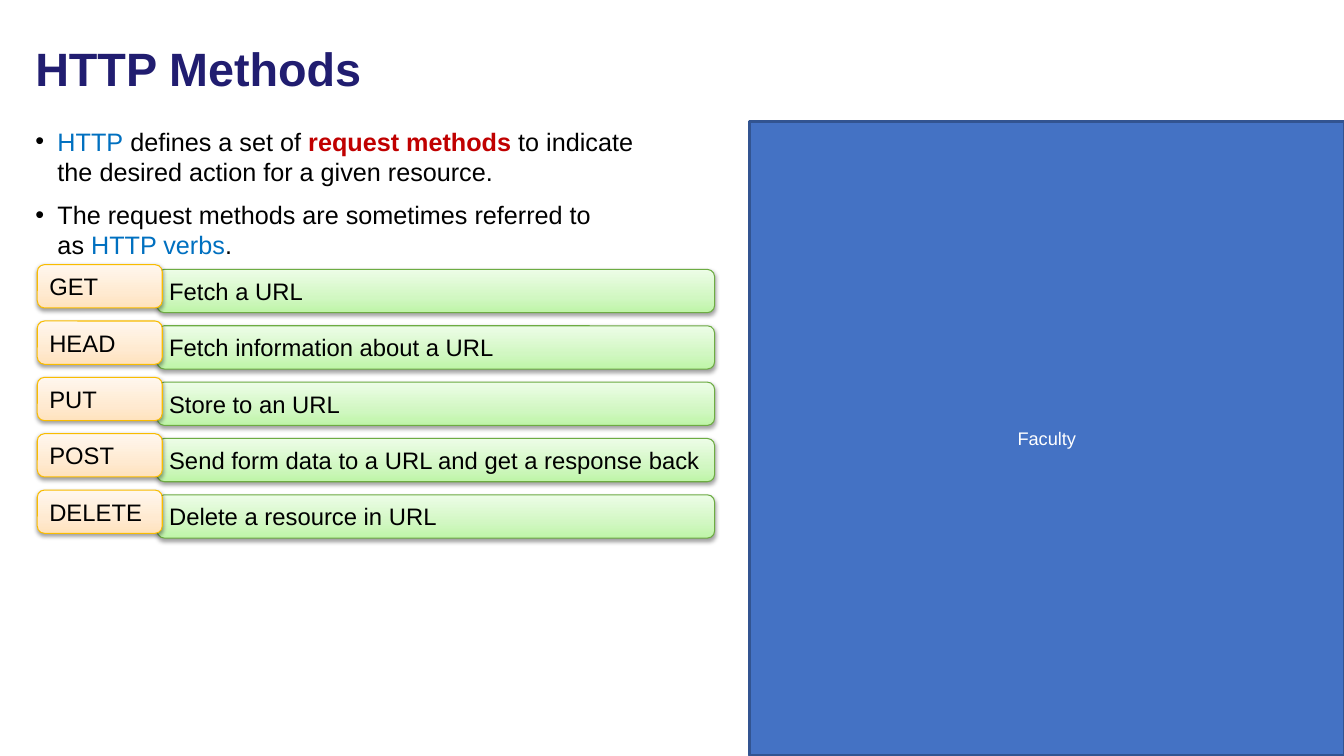
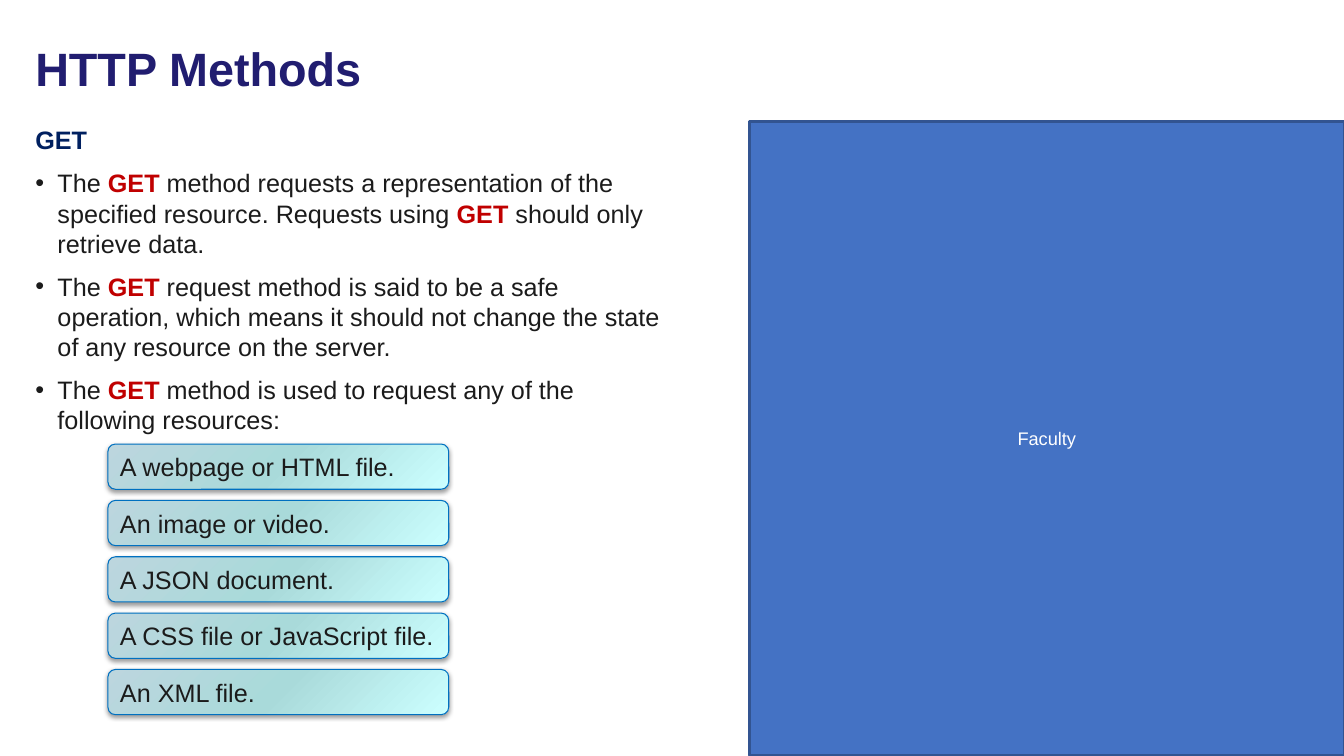
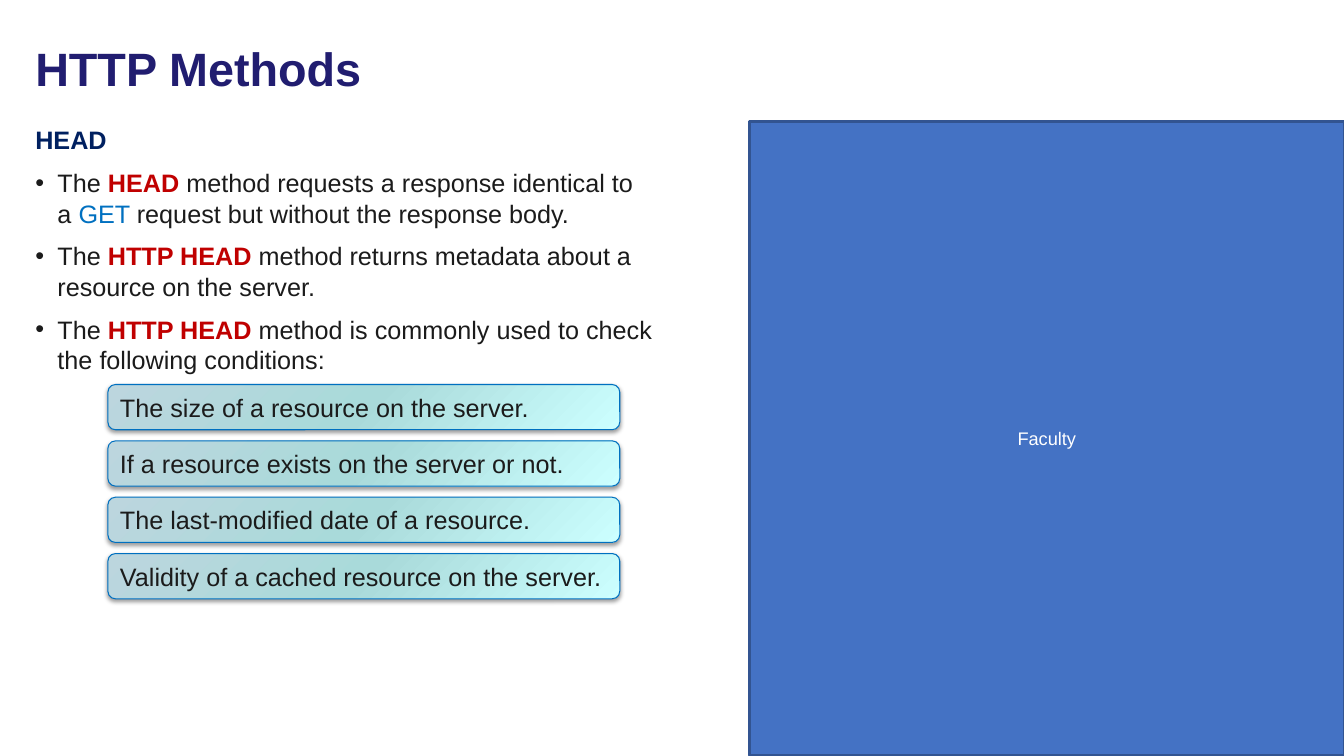
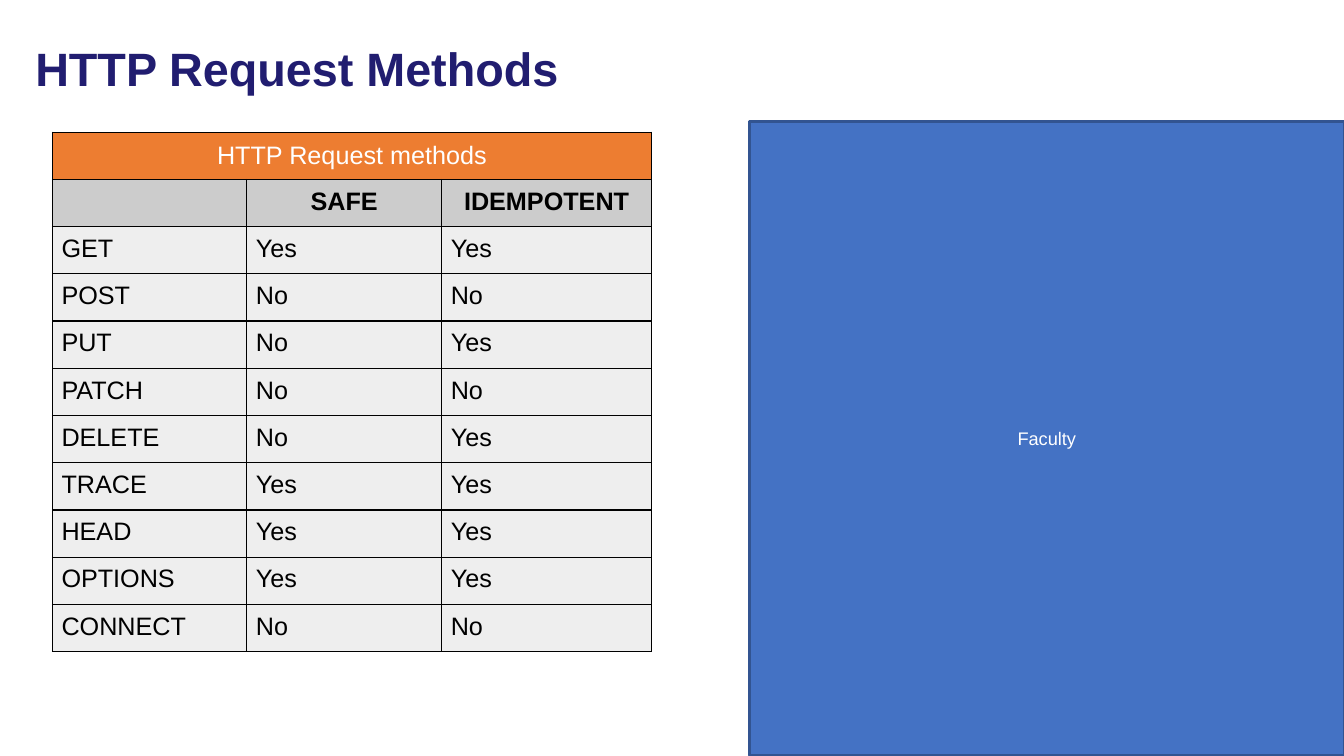
from copy import deepcopy

from lxml.etree import SubElement
from pptx import Presentation
from pptx.dml.color import RGBColor
from pptx.enum.shapes import MSO_SHAPE
from pptx.enum.text import MSO_ANCHOR, PP_ALIGN
from pptx.oxml.ns import qn
from pptx.util import Cm, Pt

FONT = "Arial"
NO_BREAK_SPACE = chr(160)
BLACK = RGBColor(0x00, 0x00, 0x00)
WHITE = RGBColor(0xFF, 0xFF, 0xFF)
INK = RGBColor(0x1B, 0x1B, 0x1B)
TITLE_BLUE = RGBColor(0x21, 0x1D, 0x70)
HEADING_BLUE = RGBColor(0x00, 0x20, 0x60)
TERM_BLUE = RGBColor(0x00, 0x70, 0xC0)
KEY_RED = RGBColor(0xC0, 0x00, 0x00)
PANEL_BLUE = RGBColor(0x44, 0x72, 0xC4)
PANEL_EDGE = RGBColor(0x32, 0x54, 0x91)
GREEN_EDGE = RGBColor(0x6D, 0xAC, 0x43)
AMBER_EDGE = RGBColor(0xF9, 0xBC, 0x00)
TABLE_ORANGE = RGBColor(0xED, 0x7D, 0x31)
TABLE_GREY = RGBColor(0xCC, 0xCC, 0xCC)
TABLE_LIGHT = RGBColor(0xEE, 0xEE, 0xEE)

GREEN = {"stops": [(0, "BEF5A7"), (0.35, "D1F7C2"), (1, "EDFDE7")],
         "angle": 90, "edge": GREEN_EDGE, "size": 17, "color": BLACK, "height": 1.09}
AMBER = {"stops": [(0, "FFE2BD"), (0.35, "FFEAD1"), (1, "FFF7EE")],
         "angle": 90, "edge": AMBER_EDGE, "size": 17, "color": BLACK, "height": 1.09}
TEAL = {"stops": [(0, "BCD6DE"), (0.5, "A9DADA"), (1, "CCFFFF")],
        "angle": 315, "edge": TERM_BLUE, "size": 18, "color": INK, "height": 1.14}
BOX_PITCH = 1.42

RUN_STYLES = {
    "plain": {"bold": False},
    "term": {"bold": False, "color": TERM_BLUE},
    "key": {"bold": True, "color": KEY_RED},
    "heading": {"bold": True, "color": HEADING_BLUE},
}

SLIDES = [
    {
        "title": "HTTP Methods",
        "color": BLACK,
        "body_top": 3.05,
        "space": 9.3,
        "body": [
            [("HTTP", "term"), (" defines a set of ", "plain"), ("request methods ", "key"),
             ("to indicate the desired action for a given resource.", "plain")],
            [("The request methods are sometimes referred to as" + NO_BREAK_SPACE, "plain"),
             ("HTTP verbs", "term"), (".", "plain")],
        ],
        "columns": [
            (GREEN, 3.96, 6.79, 14.05, [
                "Fetch a URL", "Fetch information about a URL", "Store to an URL",
                "Send form data to a URL and get a response back",
                "Delete a resource in URL"]),
            (AMBER, 0.94, 6.67, 3.15, ["GET", "HEAD", "PUT", "POST", "DELETE"]),
        ],
    },
    {
        "title": "HTTP Methods",
        "color": INK,
        "body_top": 3.02,
        "space": 9,
        "body": [
            [("GET", "heading")],
            [("The ", "plain"), ("GET", "key"),
             (" method requests a representation of the specified resource. Requests using ", "plain"),
             ("GET", "key"), (" should only retrieve data.", "plain")],
            [("The ", "plain"), ("GET", "key"),
             (" request method is said to be a safe operation, which means it should not "
              "change the state of any resource on the server.", "plain")],
            [("The ", "plain"), ("GET", "key"),
             (" method is used to request any of the following resources:", "plain")],
        ],
        "columns": [
            (TEAL, 2.72, 11.19, 8.59, [
                "A webpage or HTML file.", "An image or video.", "A JSON document.",
                "A CSS file or JavaScript file.", "An XML file."]),
        ],
    },
    {
        "title": "HTTP Methods",
        "color": INK,
        "body_top": 3.02,
        "space": 9,
        "body": [
            [("HEAD", "heading")],
            [("The ", "plain"), ("HEAD", "key"),
             (" method requests a response identical to a" + NO_BREAK_SPACE, "plain"),
             ("GET ", "term"), ("request but without the response body.", "plain")],
            [("The ", "plain"), ("HTTP HEAD ", "key"),
             ("method returns metadata about a resource on the server.", "plain")],
            [("The ", "plain"), ("HTTP HEAD ", "key"),
             ("method is commonly used to check the following conditions:", "plain")],
        ],
        "columns": [
            (TEAL, 2.72, 9.69, 12.9, [
                "The size of a resource on the server.",
                "If a resource exists on the server or not.",
                "The last-modified date of a resource.",
                "Validity of a cached resource on the server."]),
        ],
    },
    {"title": "HTTP Request Methods", "color": BLACK, "body": [], "columns": []},
]

TABLE_ROWS = [
    ("HTTP Request methods", "", ""),
    ("", "SAFE", "IDEMPOTENT"),
    ("GET", "Yes", "Yes"),
    ("POST", "No", "No"),
    ("PUT", "No", "Yes"),
    ("PATCH", "No", "No"),
    ("DELETE", "No", "Yes"),
    ("TRACE", "Yes", "Yes"),
    ("HEAD", "Yes", "Yes"),
    ("OPTIONS", "Yes", "Yes"),
    ("CONNECT", "No", "No"),
]
COLUMN_WIDTHS = [4.9, 4.91, 5.29]
ROW_HEIGHT = 1.19
CELL_MARGINS = {"margin_left": Cm(0.23), "margin_right": Cm(0.23),
                "margin_top": Cm(0.2), "margin_bottom": Cm(0.2)}


def format_font(font, formats):
    for name, value in {"name": FONT, **formats}.items():
        if name == "color":
            font.color.rgb = value
        else:
            setattr(font, name, value)


def add_gradient_box(slide, style, left, top, width, text):
    shape = slide.shapes.add_shape(
        MSO_SHAPE.ROUNDED_RECTANGLE, Cm(left), Cm(top), Cm(width), Cm(style["height"]))
    shape.fill.gradient()
    shape.fill.gradient_angle = style["angle"]
    stop_list = shape._element.spPr.find(".//" + qn("a:gsLst"))
    stop_list.append(deepcopy(stop_list[-1]))
    for stop, (position, color) in zip(shape.fill.gradient_stops, style["stops"]):
        stop.position = position
        stop.color.rgb = RGBColor.from_string(color)
    shape.line.color.rgb = style["edge"]
    shape.line.width = Pt(0.75)
    shape.shadow.inherit = False
    effects = shape._element.spPr.find(qn("a:effectLst"))
    shadow = SubElement(effects, qn("a:outerShdw"), blurRad="40000", dist="20000",
                        dir="5400000", rotWithShape="0")
    shadow_color = SubElement(shadow, qn("a:srgbClr"), val=str(BLACK))
    SubElement(shadow_color, qn("a:alpha"), val="38000")
    shape.text_frame.word_wrap = True
    shape.text_frame.vertical_anchor = MSO_ANCHOR.MIDDLE
    paragraph = shape.text_frame.paragraphs[0]
    paragraph.text = text
    paragraph.alignment = PP_ALIGN.LEFT
    format_font(paragraph.font, {"size": Pt(style["size"]), "color": style["color"]})


presentation = Presentation()
presentation.slide_width = Cm(33.87)
presentation.slide_height = Cm(19.05)

for content in SLIDES:
    slide = presentation.slides.add_slide(presentation.slide_layouts[6])

    panel = slide.shapes.add_shape(
        MSO_SHAPE.RECTANGLE, Cm(18.89), Cm(3.06), Cm(14.98), Cm(15.97))
    panel.shadow.inherit = False
    panel.fill.solid()
    panel.fill.fore_color.rgb = PANEL_BLUE
    panel.line.color.rgb = PANEL_EDGE
    panel.line.width = Pt(2)
    panel.text_frame.vertical_anchor = MSO_ANCHOR.MIDDLE
    paragraph = panel.text_frame.paragraphs[0]
    paragraph.text = "Faculty"
    paragraph.alignment = PP_ALIGN.CENTER
    format_font(paragraph.font, {"size": Pt(13), "color": WHITE})

    title = slide.shapes.add_textbox(Cm(0.64), Cm(0.64), Cm(30), Cm(2.31))
    title.text_frame.word_wrap = True
    title.text_frame.vertical_anchor = MSO_ANCHOR.MIDDLE
    paragraph = title.text_frame.paragraphs[0]
    paragraph.text = content["title"]
    paragraph.line_spacing = 0.9
    format_font(paragraph.font, {"size": Pt(33.4), "bold": True, "color": TITLE_BLUE})

    if content["body"]:
        body = slide.shapes.add_textbox(
            Cm(0.64), Cm(content["body_top"]), Cm(16.3), Cm(13.18))
        body.text_frame.word_wrap = True
    for index, runs in enumerate(content["body"]):
        if index == 0:
            paragraph = body.text_frame.paragraphs[0]
        else:
            paragraph = body.text_frame.add_paragraph()
            paragraph.space_before = Pt(content["space"])
        if runs[0][1] != "heading":
            properties = paragraph._p.get_or_add_pPr()
            properties.set("marL", str(Cm(0.56)))
            properties.set("indent", str(-Cm(0.56)))
            bullet_color = SubElement(properties, qn("a:buClr"))
            SubElement(bullet_color, qn("a:srgbClr"), val=str(content["color"]))
            SubElement(properties, qn("a:buFont"), typeface=FONT)
            SubElement(properties, qn("a:buChar"), char="•")
        for text, style_name in runs:
            run = paragraph.add_run()
            run.text = text
            format_font(run.font, {"size": Pt(18), "color": content["color"],
                                   **RUN_STYLES[style_name]})

    for style, left, top, width, labels in content["columns"]:
        for index, label in enumerate(labels):
            add_gradient_box(slide, style, left, top + index * BOX_PITCH, width, label)

table = slide.shapes.add_table(
    len(TABLE_ROWS), len(COLUMN_WIDTHS), Cm(1.32), Cm(3.33),
    Cm(sum(COLUMN_WIDTHS)), Cm(ROW_HEIGHT * len(TABLE_ROWS))).table
for column, width in zip(table.columns, COLUMN_WIDTHS):
    column.width = Cm(width)
for row_index, values in enumerate(TABLE_ROWS):
    table.rows[row_index].height = Cm(ROW_HEIGHT)
    fill = {0: TABLE_ORANGE, 1: TABLE_GREY}.get(row_index, TABLE_LIGHT)
    for column_index, value in enumerate(values):
        cell = table.cell(row_index, column_index)
        for name, margin in CELL_MARGINS.items():
            setattr(cell, name, margin)
        cell_properties = cell._tc.get_or_add_tcPr()
        for side in ("a:lnL", "a:lnR", "a:lnT", "a:lnB"):
            border = SubElement(cell_properties, qn(side), w=str(Pt(1)))
            border_fill = SubElement(border, qn("a:solidFill"))
            SubElement(border_fill, qn("a:srgbClr"), val=str(BLACK))
        cell.fill.solid()
        cell.fill.fore_color.rgb = fill
        paragraph = cell.text_frame.paragraphs[0]
        paragraph.text = value
        paragraph.alignment = PP_ALIGN.CENTER if row_index < 2 else PP_ALIGN.LEFT
        format_font(paragraph.font, {"size": Pt(18), "bold": row_index == 1,
                                     "color": BLACK if row_index else WHITE})
table.cell(0, 0).merge(table.cell(0, len(COLUMN_WIDTHS) - 1))
table.cell(0, 0).vertical_anchor = MSO_ANCHOR.MIDDLE

presentation.save("out.pptx")
